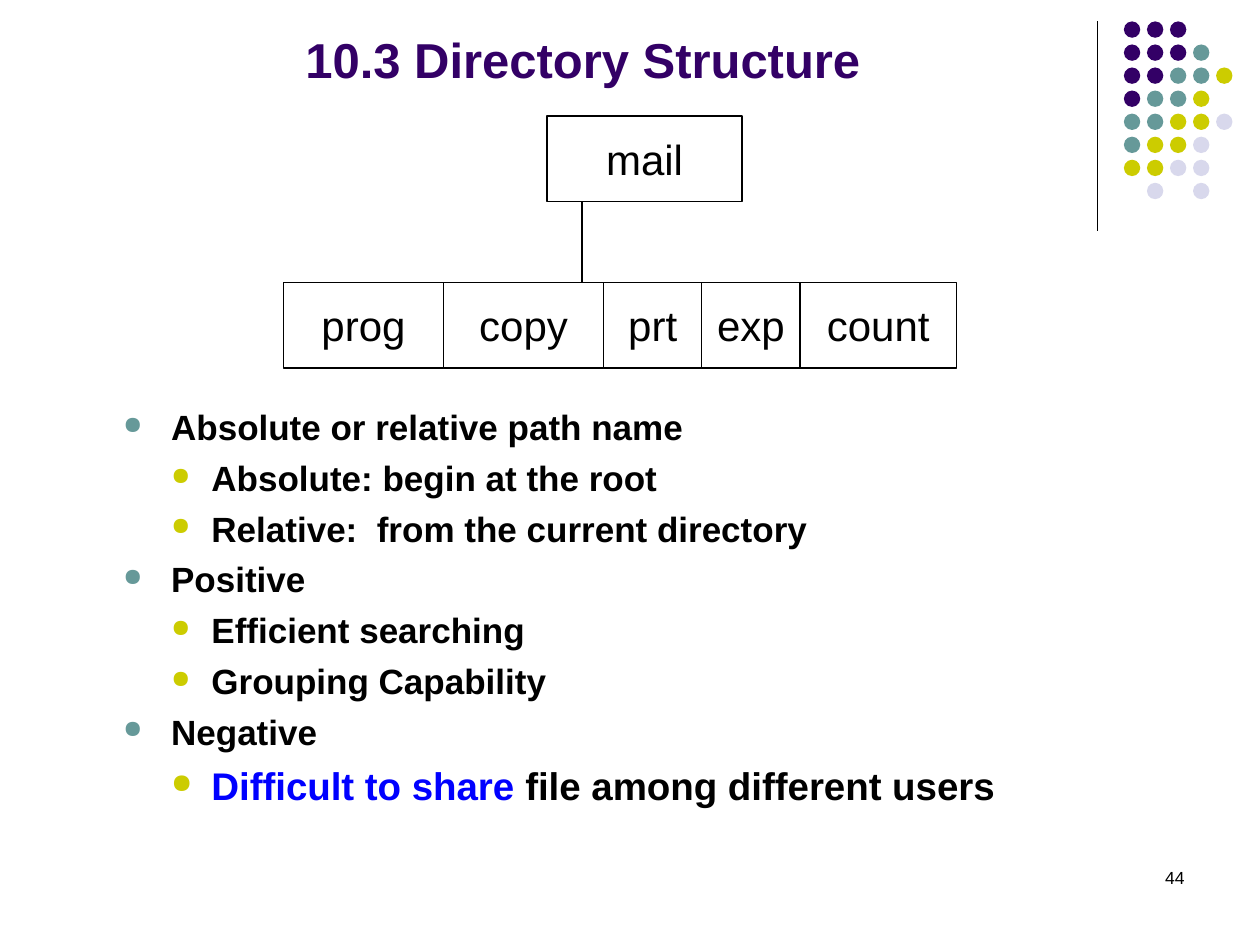
from lxml import etree
from pptx import Presentation
from pptx.dml.color import RGBColor
from pptx.enum.shapes import MSO_CONNECTOR, MSO_SHAPE
from pptx.enum.text import MSO_ANCHOR, PP_ALIGN
from pptx.oxml.ns import qn
from pptx.util import Inches, Pt

LINE = MSO_CONNECTOR.STRAIGHT
RECT, OVAL = MSO_SHAPE.RECTANGLE, MSO_SHAPE.OVAL
TOP, MIDDLE, BOTTOM = MSO_ANCHOR.TOP, MSO_ANCHOR.MIDDLE, MSO_ANCHOR.BOTTOM
LEFT, CENTER, RIGHT = PP_ALIGN.LEFT, PP_ALIGN.CENTER, PP_ALIGN.RIGHT

FONT = "Arial"
COLORS = {
    "black": "000000", "white": "FFFFFF", "purple": "330066",
    "teal": "669999", "olive": "CCCC00", "pale": "D8D8EC", "blue": "0000FF",
}
DOTS = ["PPP", "PPPT", "PPTTO", "PTTO", "TTOOL", "TOOL", "OOLL", " L L"]
DOT_COLORS = {"P": "purple", "T": "teal", "O": "olive", "L": "pale"}
FILES = [("prog", 1.27), ("copy", 1.27), ("prt", 0.78), ("exp", 0.78), ("count", 1.24)]
LEVELS = [(0.76, 0.38, "teal"), (1.08, 0.32, "olive")]
POINTS = [
    (0, 20, [("Absolute or relative path name", "black")]),
    (1, 20, [("Absolute: begin at the root", "black")]),
    (1, 20, [("Relative:  from the current directory", "black")]),
    (0, 20, [("Positive", "black")]),
    (1, 20, [("Efficient searching", "black")]),
    (1, 20, [("Grouping Capability", "black")]),
    (0, 20, [("Negative", "black")]),
    (1, 22, [("Difficult to share", "blue"), (" file among different users", "black")]),
]


def rgb(name):
    return RGBColor.from_string(COLORS[name])


def add_run(para, text, size, color="black", bold=False):
    run = para.add_run()
    run.text = text
    font = run.font
    font.name, font.size, font.bold = FONT, Pt(size), bold
    font.color.rgb = rgb(color)


def add_line(slide, x, top, end):
    line = slide.shapes.add_connector(LINE, Inches(x), Inches(top), Inches(x), Inches(end))
    line.line.color.rgb = rgb("black")
    line.line.width = Pt(0.75)
    etree.SubElement(line._element.spPr, qn("a:effectLst"))


def add_shape(slide, kind, x, y, w, h, fill):
    shape = slide.shapes.add_shape(kind, Inches(x), Inches(y), Inches(w), Inches(h))
    shape.shadow.inherit = False
    shape.fill.solid()
    shape.fill.fore_color.rgb = rgb(fill)
    return shape


def add_dots(slide):
    for row, marks in enumerate(DOTS):
        for col, mark in enumerate(marks):
            if mark in DOT_COLORS:
                dot = add_shape(slide, OVAL, 8.92 + col * 0.183, 0.17 + row * 0.183,
                                0.13, 0.13, DOT_COLORS[mark])
                dot.line.fill.background()


def add_node(slide, text, x, y, w):
    node = add_shape(slide, RECT, x, y, w, 0.68, "white")
    node.line.color.rgb = rgb("black")
    node.line.width = Pt(0.75)
    frame = node.text_frame
    frame.word_wrap = False
    frame.vertical_anchor = MIDDLE
    para = frame.paragraphs[0]
    para.alignment = CENTER
    add_run(para, text, 24)


def add_box(slide, x, y, w, h, anchor=TOP, align=LEFT):
    box = slide.shapes.add_textbox(Inches(x), Inches(y), Inches(w), Inches(h))
    frame = box.text_frame
    frame.word_wrap = True
    frame.vertical_anchor = anchor
    frame.paragraphs[0].alignment = align
    return frame


def set_bullet(para, level):
    margin, hang, color = LEVELS[level]
    para.level = level
    props = para._p.get_or_add_pPr()
    props.set("marL", str(Inches(margin)))
    props.set("indent", str(-Inches(hang)))
    tint = etree.SubElement(props, qn("a:buClr"))
    etree.SubElement(tint, qn("a:srgbClr"), val=COLORS[color])
    etree.SubElement(props, qn("a:buSzPct"), val="70000")
    etree.SubElement(props, qn("a:buChar"), char="●")


def add_points(slide):
    frame = add_box(slide, 0.5, 3.17, 9, 3.54)
    for i, (level, size, runs) in enumerate(POINTS):
        para = frame.add_paragraph() if i else frame.paragraphs[0]
        set_bullet(para, level)
        para.space_before = Pt(size / 4 if i else 0)
        for text, color in runs:
            add_run(para, text, size, color, True)


def add_tree(slide):
    add_node(slide, "mail", 4.34, 0.92, 1.55)
    x = 2.25
    for name, width in FILES:
        add_node(slide, name, x, 2.24, width)
        x += width
    add_line(slide, 4.62, 1.6, 2.24)


def main():
    deck = Presentation()
    deck.slide_width, deck.slide_height = Inches(10), Inches(7.5)
    slide = deck.slides.add_slide(deck.slide_layouts[6])
    add_line(slide, 8.71, 0.17, 1.83)
    add_dots(slide)
    number = add_box(slide, 7.17, 6.83, 2.33, 0.5, align=RIGHT)
    add_run(number.paragraphs[0], "44", 10)
    title = add_box(slide, 0.5, 0.13, 8.25, 0.62, BOTTOM, CENTER)
    add_run(title.paragraphs[0], "10.3 Directory Structure", 28, "purple", True)
    add_points(slide)
    add_tree(slide)
    deck.save("out.pptx")


if __name__ == "__main__":
    main()
